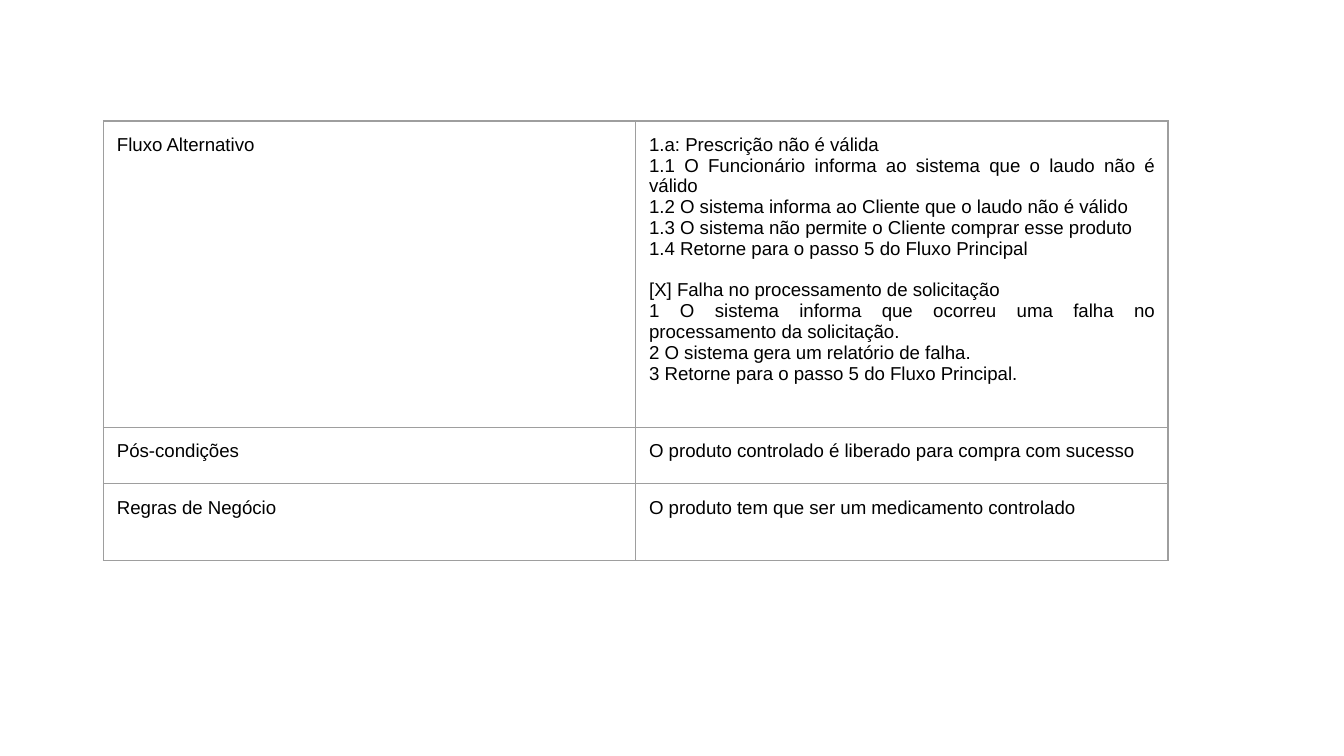
from lxml.etree import SubElement
from pptx import Presentation
from pptx.dml.color import RGBColor
from pptx.enum.text import PP_ALIGN as Align
from pptx.oxml.ns import qn
from pptx.util import Inches, Pt

COLORS = {"text": "000000", "border": "9E9E9E"}
COLUMN_WIDTH = 3.96
ROW_HEIGHTS = [2.28, 0.42, 0.57]
FLOW_GROUPS = [
    [
        "1.a: Prescrição não é válida",
        "1.1 O Funcionário informa ao sistema que o laudo não é válido",
        "1.2 O sistema informa ao Cliente que o laudo não é válido",
        "1.3 O sistema não permite o Cliente comprar esse produto",
        "1.4 Retorne para o passo 5 do Fluxo Principal",
    ],
    [
        "[X] Falha no processamento de solicitação",
        "1 O sistema informa que ocorreu uma falha no processamento da solicitação.",
        "2 O sistema gera um relatório de falha.",
        "3 Retorne para o passo 5 do Fluxo Principal.",
    ],
]
USE_CASE_ROWS = [
    ("Fluxo Alternativo", FLOW_GROUPS),
    ("Pós-condições", [["O produto controlado é liberado para compra com sucesso"]]),
    ("Regras de Negócio", [["O produto tem que ser um medicamento controlado"]]),
]


def write_paragraph(paragraph, text, size=10, font="Arial", color="text", align=Align.LEFT, before=0):
    """Write formatted text into a paragraph."""
    paragraph.alignment = align
    paragraph.space_before = Pt(before)
    run = paragraph.add_run()
    run.text = text
    run.font.size = Pt(size)
    run.font.name = font
    run.font.color.rgb = RGBColor.from_string(COLORS[color])


def style_cell(cell, border_width=0.75):
    """Give a cell even margins, four borders and no fill."""
    cell.margin_left = cell.margin_right = Inches(0.1)
    cell.margin_top = cell.margin_bottom = Inches(0.1)
    properties = cell._tc.get_or_add_tcPr()
    for side in ("lnL", "lnR", "lnT", "lnB"):
        line = SubElement(properties, qn(f"a:{side}"), w=str(Pt(border_width)))
        fill = SubElement(line, qn("a:solidFill"))
        SubElement(fill, qn("a:srgbClr"), val=COLORS["border"])
    cell.fill.background()


def fill_cell(cell, groups, align=Align.LEFT):
    """Write groups of lines into a cell, set apart by one line of space."""
    style_cell(cell)
    frame = cell.text_frame
    for group_index, group in enumerate(groups):
        for line_index, text in enumerate(group):
            is_first = group_index == line_index == 0
            paragraph = frame.paragraphs[0] if is_first else frame.add_paragraph()
            before = 11 if group_index and not line_index else 0
            write_paragraph(paragraph, text, align=align, before=before)


def add_use_case_table(slide, left, top):
    """Add the two-column table of use case details."""
    shape = slide.shapes.add_table(
        len(USE_CASE_ROWS), 2, Inches(left), Inches(top),
        Inches(2 * COLUMN_WIDTH), Inches(sum(ROW_HEIGHTS)),
    )
    table = shape.table
    table.first_row = table.horz_banding = False
    for column in table.columns:
        column.width = Inches(COLUMN_WIDTH)
    for row, height, (label, groups) in zip(table.rows, ROW_HEIGHTS, USE_CASE_ROWS):
        row.height = Inches(height)
        fill_cell(row.cells[0], [[label]])
        fill_cell(row.cells[1], groups, align=Align.JUSTIFY)


def main():
    """Build and save the presentation."""
    presentation = Presentation()
    presentation.slide_width = Inches(10)
    presentation.slide_height = Inches(10 * 9 / 16)
    slide = presentation.slides.add_slide(presentation.slide_layouts[6])
    add_use_case_table(slide, 0.77, 0.9)
    presentation.save("out.pptx")


if __name__ == "__main__":
    main()
